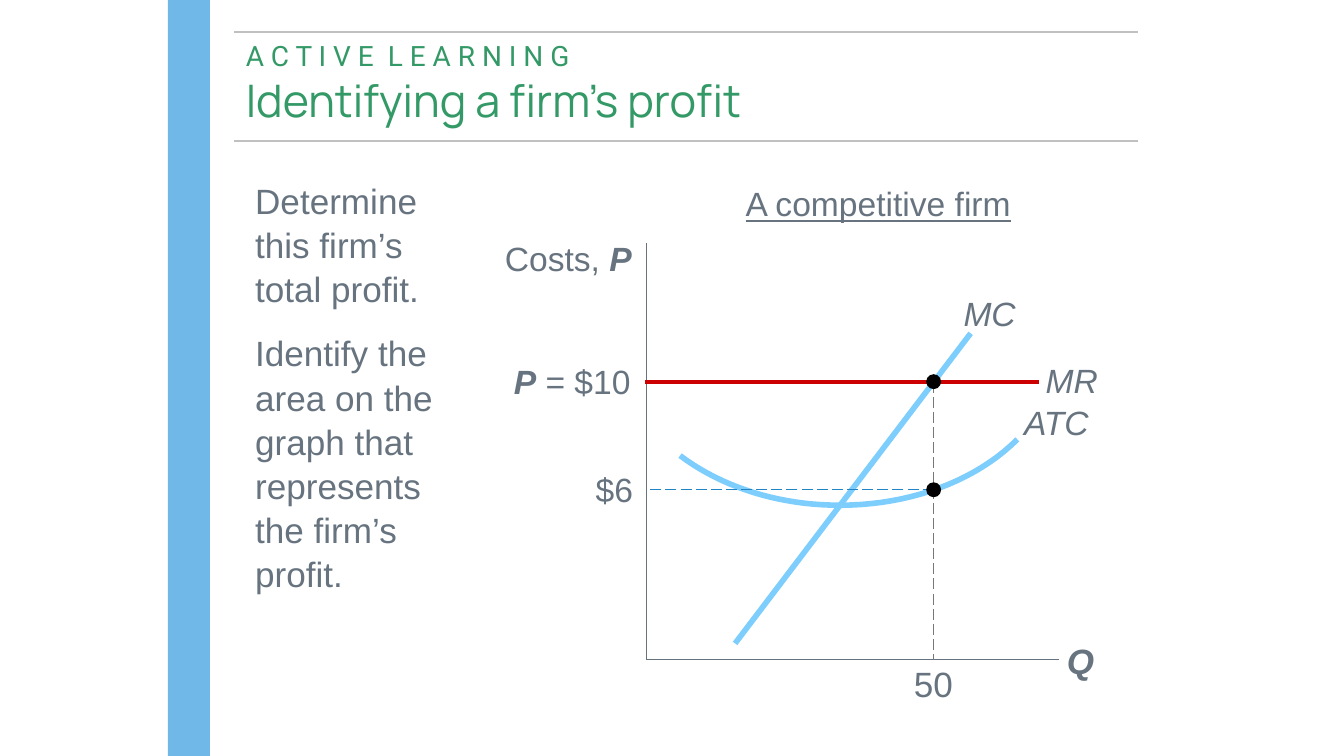
from dataclasses import dataclass

from lxml import etree
from pptx import Presentation
from pptx.dml.color import RGBColor
from pptx.enum.dml import MSO_LINE
from pptx.enum.shapes import MSO_CONNECTOR, MSO_SHAPE
from pptx.enum.text import PP_ALIGN
from pptx.oxml.ns import qn
from pptx.util import Pt

LEFT, CENTER, RIGHT = PP_ALIGN.LEFT, PP_ALIGN.CENTER, PP_ALIGN.RIGHT
STRAIGHT, LONG_DASH = MSO_CONNECTOR.STRAIGHT, MSO_LINE.LONG_DASH
RECTANGLE, OVAL = MSO_SHAPE.RECTANGLE, MSO_SHAPE.OVAL

BAND_BLUE = RGBColor(0x6F, 0xB8, 0xE7)
CURVE_BLUE = RGBColor(0x7E, 0xCE, 0xFD)
COST_BLUE = RGBColor(0x21, 0x85, 0xC5)
TITLE_GREEN = RGBColor(0x33, 0x99, 0x66)
SLATE = RGBColor(0x67, 0x74, 0x80)
RULE_GRAY = RGBColor(0xC0, 0xC0, 0xC0)
DROP_GRAY = RGBColor(0x77, 0x77, 0x77)
REVENUE_RED = RGBColor(0xCC, 0x00, 0x00)
BLACK = RGBColor(0, 0, 0)

AXIS_X, AXIS_Y = 346.3, 353.5
QUANTITY_X, PRICE_Y, COST_Y = 500.2, 204.5, 262.4
DOT = 8


@dataclass(frozen=True)
class Run:
    text: str
    size: float = 18
    font: str = "Arial"
    color: RGBColor = SLATE
    bold: bool = False
    italic: bool = False
    underline: bool = False
    spacing: float = 0


@dataclass(frozen=True)
class Line:
    x1: float
    y1: float
    x2: float
    y2: float
    color: RGBColor
    width: float = 0.75
    dashed: bool = False


@dataclass(frozen=True)
class Label:
    box: tuple[float, float, float, float]
    runs: list[Run]
    align: PP_ALIGN = LEFT
    inset: tuple[float, float] = (0, 0)


PADDED = (7.2, 3.6)

RULES = [Line(125.3, y, 609.8, y, RULE_GRAY, 1) for y in (75.5, 17.3)]
AXES = [
    Line(AXIS_X, 130.3, AXIS_X, AXIS_Y, SLATE),
    Line(AXIS_X, AXIS_Y, 567.2, AXIS_Y, SLATE),
]
MARGINAL_COST = Line(393.8, 344.7, 520, 178.6, CURVE_BLUE, 3)
MARGINAL_REVENUE = Line(345.8, PRICE_Y, 556.6, PRICE_Y, REVENUE_RED, 2.25)
GUIDES = [
    Line(QUANTITY_X, PRICE_Y, QUANTITY_X, AXIS_Y, DROP_GRAY, dashed=True),
    Line(QUANTITY_X, COST_Y, AXIS_X, COST_Y, COST_BLUE, dashed=True),
]
AVERAGE_COST = [
    ((545, 235.4), (522.7, 257.8), (487.4, 270.7), (450, 270.7)),
    ((450, 270.7), (417.6, 270.7), (387.4, 261.4), (364.3, 244.1)),
]

LABELS = [
    Label((564.5, 339.1, 31.7, 30.2), [Run("Q", 18.8, bold=True, italic=True)], inset=PADDED),
    Label((247, 123.8, 98.6, 28.8), [Run("Costs, "), Run("P", bold=True, italic=True)],
          RIGHT, PADDED),
    Label((516.2, 157, 36, 21.6), [Run("MC", italic=True)]),
    Label((548.6, 215.3, 43.9, 21.6), [Run("ATC", italic=True)]),
    Label((265.7, 190.1, 79.2, 28.8), [Run("P", bold=True, italic=True), Run(" = $10")],
          RIGHT, PADDED),
    Label((560.2, 193, 36, 21.6), [Run("MR", italic=True)]),
    Label((487.4, 355, 25.2, 23), [Run("50", 18.8)], CENTER),
    Label((311, 251.3, 28.1, 21.6), [Run("$6")], RIGHT),
]

presentation = Presentation()
presentation.slide_width, presentation.slide_height = Pt(720), Pt(405)
slide = presentation.slides.add_slide(presentation.slide_layouts[6])
shapes = slide.shapes


def add_text(box: tuple[float, float, float, float], *paragraphs: list[Run],
             align: PP_ALIGN = LEFT, inset: tuple[float, float] = (0, 0),
             line_spacing: float = 1, gap: float = 0) -> None:
    frame = shapes.add_textbox(*map(Pt, box)).text_frame
    frame.word_wrap = True
    frame.margin_left = frame.margin_right = Pt(inset[0])
    frame.margin_top = frame.margin_bottom = Pt(inset[1])
    for index, runs in enumerate(paragraphs):
        paragraph = frame.add_paragraph() if index else frame.paragraphs[0]
        paragraph.alignment = align
        paragraph.line_spacing = line_spacing
        paragraph.space_before = Pt(gap if index else 0)
        for item in runs:
            for row, words in enumerate(item.text.split("\n")):
                if row:
                    paragraph.add_line_break()
                if not words:
                    continue
                run = paragraph.add_run()
                run.text = words
                font = run.font
                font.name, font.size = item.font, Pt(item.size)
                font.bold, font.italic = item.bold, item.italic
                font.underline = item.underline
                font.color.rgb = item.color
                if item.spacing:
                    run._r.get_or_add_rPr().set("spc", str(round(item.spacing * 100)))


def draw_line(line: Line) -> None:
    connector = shapes.add_connector(
        STRAIGHT, Pt(line.x1), Pt(line.y1), Pt(line.x2), Pt(line.y2))
    connector.line.color.rgb = line.color
    connector.line.width = Pt(line.width)
    if line.dashed:
        connector.line.dash_style = LONG_DASH
    etree.SubElement(connector._element.spPr, qn("a:effectLst"))


def draw_solid(kind: MSO_SHAPE, x: float, y: float, width: float, height: float,
               color: RGBColor) -> None:
    solid = shapes.add_shape(kind, Pt(x), Pt(y), Pt(width), Pt(height))
    solid.shadow.inherit = False
    solid.fill.solid()
    solid.fill.fore_color.rgb = color
    solid.line.fill.background()


def bezier_point(controls: tuple, t: float) -> tuple[int, int]:
    weights = ((1 - t) ** 3, 3 * t * (1 - t) ** 2, 3 * t ** 2 * (1 - t), t ** 3)
    x, y = (sum(w * c[axis] for w, c in zip(weights, controls)) for axis in (0, 1))
    return Pt(x), Pt(y)


def draw_curve(segments: list[tuple], color: RGBColor, width: float, steps: int = 20) -> None:
    points = [bezier_point(segment, step / steps)
              for segment in segments for step in range(1, steps + 1)]
    builder = shapes.build_freeform(*bezier_point(segments[0], 0))
    builder.add_line_segments(points, close=False)
    curve = builder.convert_to_shape()
    curve.shadow.inherit = False
    curve.fill.background()
    curve.line.color.rgb = color
    curve.line.width = Pt(width)


draw_solid(RECTANGLE, 90, 0, 22.5, 405, BAND_BLUE)
add_text((124.6, 20.9, 484.6, 56.2), [
    Run("A C T I V E", 15, "Roboto", TITLE_GREEN),
    Run(" ", 15, "Roboto", TITLE_GREEN, spacing=3.7),
    Run("L E A R N I N G\n", 15, "Roboto", TITLE_GREEN),
    Run("Identifying a firm’s profit", 24, "Manrope", TITLE_GREEN),
], inset=(7.2, 0))
add_text((129.6, 91.4, 123.8, 270),
         [Run("Determine\nthis firm’s\ntotal profit.", 18.8)],
         [Run("Identify the area on the graph that represents\nthe firm’s profit.", 18.8)],
         inset=PADDED, line_spacing=1.05, gap=10.7)

for segment in [*RULES, *AXES, MARGINAL_COST]:
    draw_line(segment)
draw_curve(AVERAGE_COST, CURVE_BLUE, 3)
for segment in [MARGINAL_REVENUE, *GUIDES]:
    draw_line(segment)
for dot_y in (PRICE_Y, COST_Y):
    draw_solid(OVAL, QUANTITY_X - DOT / 2, dot_y - DOT / 2, DOT, DOT, BLACK)
for label in LABELS:
    add_text(label.box, label.runs, align=label.align, inset=label.inset)
add_text((378, 93.6, 185, 28.8), [Run("A competitive firm", underline=True)],
         align=CENTER, inset=PADDED, line_spacing=1.05)

presentation.save("out.pptx")
